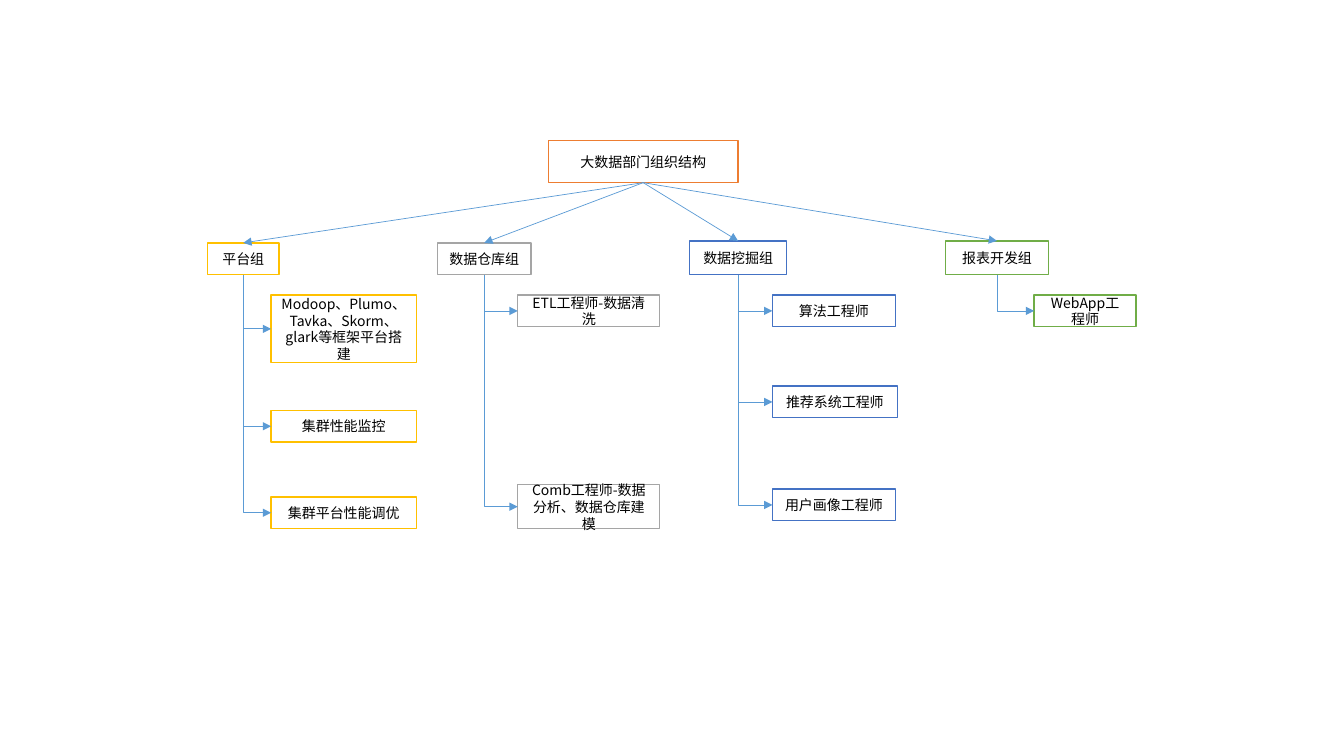
from lxml.etree import SubElement
from pptx import Presentation
from pptx.dml.color import RGBColor
from pptx.enum.shapes import MSO_CONNECTOR, MSO_SHAPE
from pptx.enum.text import MSO_ANCHOR, PP_ALIGN
from pptx.oxml.ns import qn
from pptx.util import Pt

FONT = "Noto Sans CJK SC"
BLACK, WHITE, ORANGE, ARROW_BLUE = "000000", "FFFFFF", "ED7D31", "5B9BD5"
GROUP_BOTTOM = 196.3
ROW_HEIGHT = 22.6
BOTTOM_SITE, LEFT_SITE, TOP_SITE = 2, 1, 0

# Group: name, colour, left, width, height, left of its roles
# Role: name, top, width, height
GROUPS = [
    (("平台组", "FFC000", 148.2, 51.1, 22.8, 193.7), [
        ("Modoop、Plumo、Tavka、Skorm、glark等框架平台搭建", 210.8, 103.7, 48.2),
        ("集群性能监控", 293.2, 103.7, ROW_HEIGHT),
        ("集群平台性能调优", 355, 103.7, ROW_HEIGHT),
    ]),
    (("数据仓库组", "A5A5A5", 312.4, 67, 22.8, 369.8), [
        ("ETL工程师-数据清洗", 210.8, 101.5, ROW_HEIGHT),
        ("Comb工程师-数据分析、数据仓库建模", 346.2, 101.5, 31.5),
    ]),
    (("数据挖掘组", "4472C4", 492.7, 69.1, 24.2, 551.7), [
        ("算法工程师", 210.8, 87.8, ROW_HEIGHT),
        ("推荐系统工程师", 275.8, 89.3, ROW_HEIGHT),
        ("用户画像工程师", 349.4, 87.8, ROW_HEIGHT),
    ]),
    (("报表开发组", "70AD47", 675.4, 73.6, 24.2, 738.7), [
        ("WebApp工程师", 210.8, 72.7, ROW_HEIGHT),
    ]),
]


def colour(value):
    return RGBColor.from_string(value)


def write_text(shape, text, size=10, font=FONT, text_colour=BLACK,
               align=PP_ALIGN.CENTER, anchor=MSO_ANCHOR.MIDDLE):
    frame = shape.text_frame
    frame.word_wrap = True
    frame.vertical_anchor = anchor
    paragraph = frame.paragraphs[0]
    paragraph.alignment = align
    run = paragraph.add_run()
    run.text = text
    run.font.size = Pt(size)
    run.font.name = font
    run.font.color.rgb = colour(text_colour)
    # East Asian characters take their own typeface
    SubElement(run.font._element, qn("a:ea"), typeface=font)


def add_box(slide, text, outline, left, top, width, height):
    box = slide.shapes.add_shape(
        MSO_SHAPE.RECTANGLE, Pt(left), Pt(top), Pt(width), Pt(height))
    box.shadow.inherit = False
    box.fill.solid()
    box.fill.fore_color.rgb = colour(WHITE)
    box.line.color.rgb = colour(outline)
    box.line.width = Pt(1)
    write_text(box, text)
    return box


def add_arrow(slide, kind, start, end, end_site):
    arrow = slide.shapes.add_connector(kind, 0, 0, 0, 0)
    arrow.begin_connect(start, BOTTOM_SITE)
    arrow.end_connect(end, end_site)
    arrow.line.color.rgb = colour(ARROW_BLUE)
    arrow.line.width = Pt(0.5)
    SubElement(arrow.line._get_or_add_ln(), qn("a:tailEnd"), type="triangle")
    SubElement(arrow.element.spPr, qn("a:effectLst"))
    return arrow


def add_elbow(slide, group, role):
    """Run down from the group, then right into the role."""
    arrow = add_arrow(slide, MSO_CONNECTOR.ELBOW, group, role, LEFT_SITE)
    left, top = arrow.left, arrow.top
    across, down = arrow.width, arrow.height
    # The single-bend shape is turned a quarter, so its sides swap
    arrow.left = left + (across - down) // 2
    arrow.top = top + (down - across) // 2
    arrow.width, arrow.height = down, across
    properties = arrow.element.spPr
    properties.find(qn("a:prstGeom")).set("prst", "bentConnector2")
    transform = properties.find(qn("a:xfrm"))
    transform.set("rot", "16200000")
    transform.set("flipH", "1")


def add_group(slide, department, group, roles):
    name, outline, left, width, height, role_left = group
    group_box = add_box(slide, name, outline, left, GROUP_BOTTOM - height,
                        width, height)
    add_arrow(slide, MSO_CONNECTOR.STRAIGHT, department, group_box, TOP_SITE)
    for role, top, role_width, role_height in roles:
        role_box = add_box(slide, role, outline, role_left, top,
                           role_width, role_height)
        add_elbow(slide, group_box, role_box)


def main():
    presentation = Presentation()
    presentation.slide_width = Pt(960)
    presentation.slide_height = Pt(540)
    slide = presentation.slides.add_slide(presentation.slide_layouts[6])

    # Department at the top, its groups and their roles below
    department = add_box(slide, "大数据部门组织结构", ORANGE,
                         391.7, 100.5, 135.5, 30)
    for group, roles in GROUPS:
        add_group(slide, department, group, roles)

    presentation.save("out.pptx")


main()
